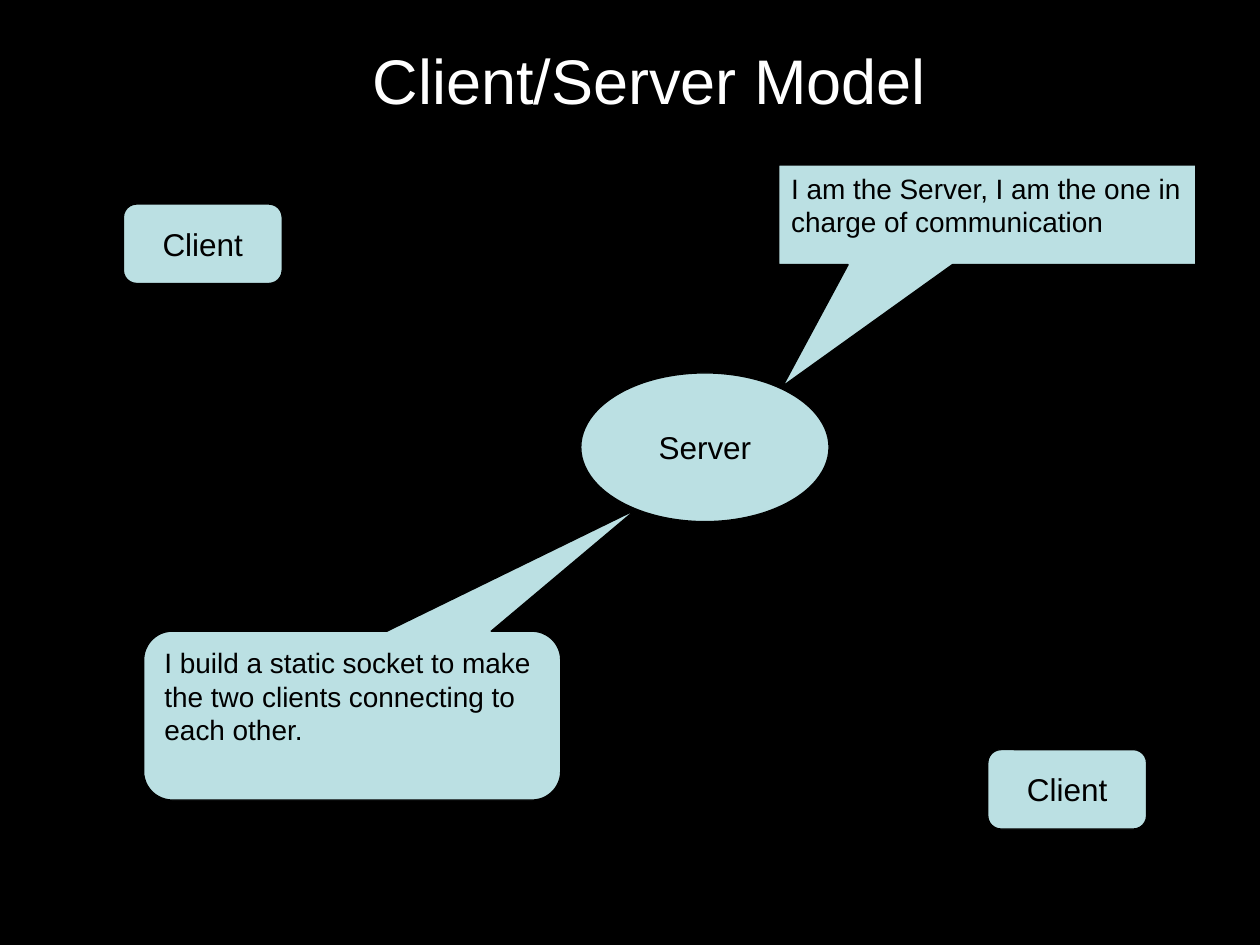
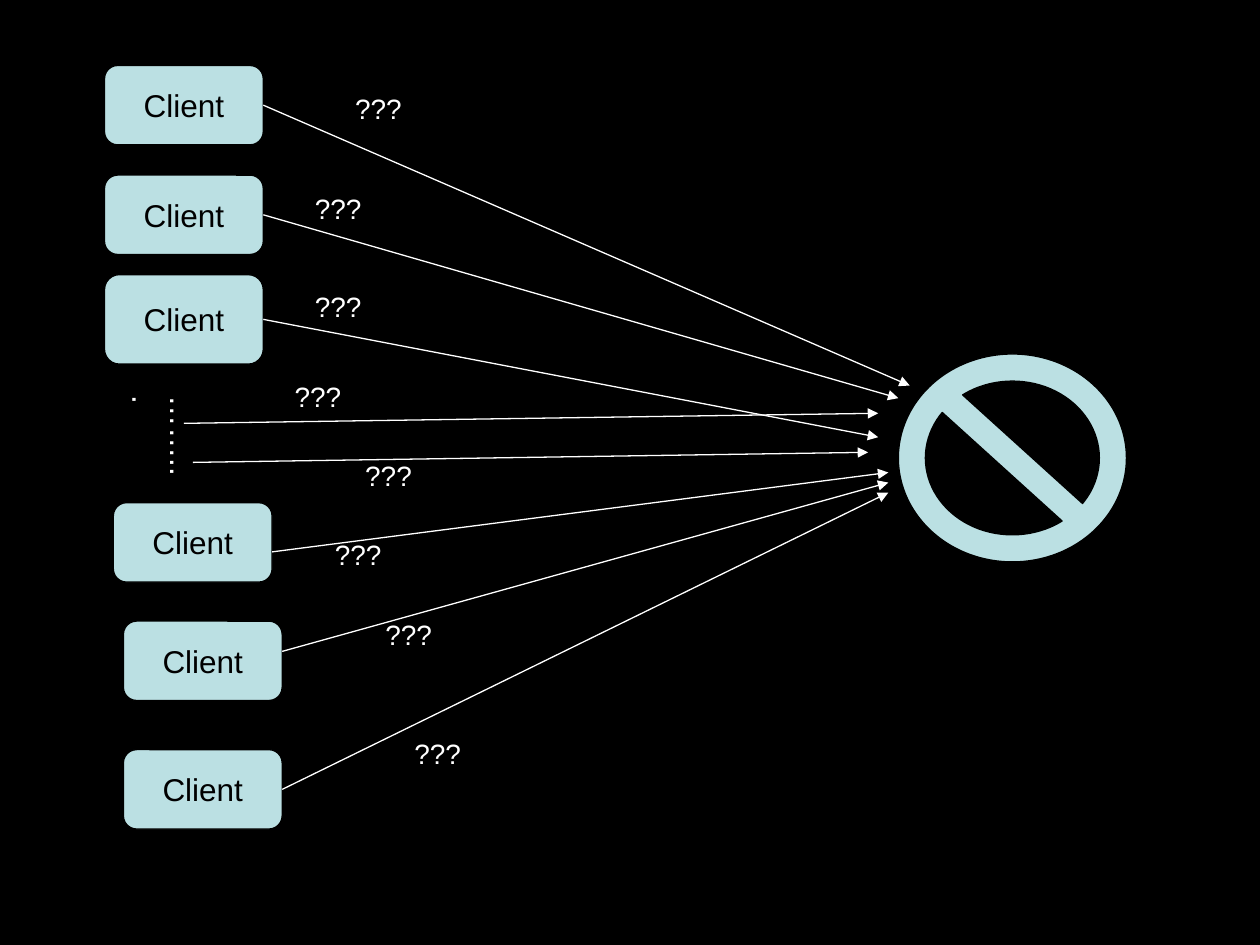
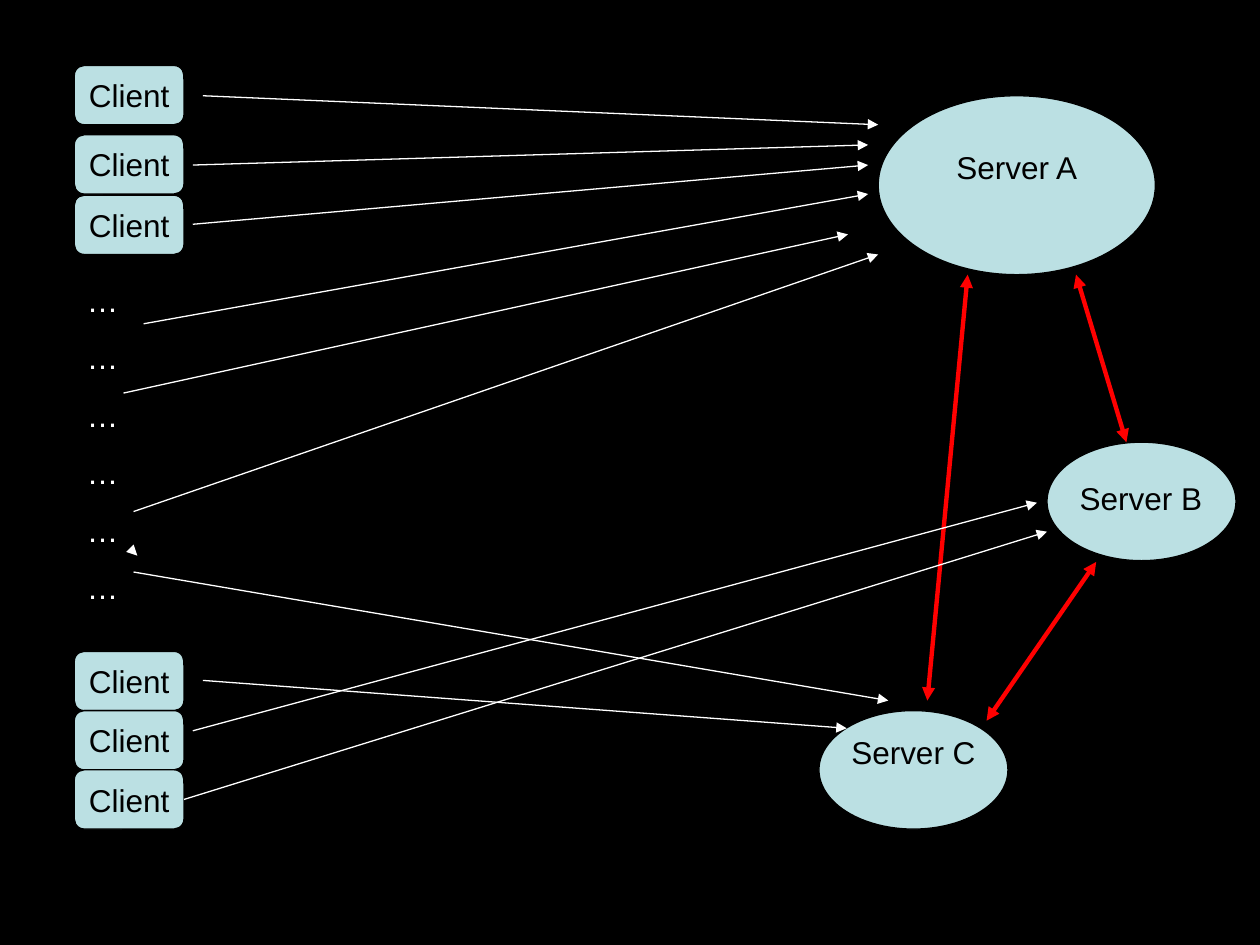
"""Build three slides on the client/server model."""
from dataclasses import dataclass

from lxml import etree
from pptx import Presentation
from pptx.dml.color import RGBColor
from pptx.enum.shapes import MSO_CONNECTOR, MSO_SHAPE
from pptx.enum.text import MSO_ANCHOR, PP_ALIGN
from pptx.oxml.ns import qn
from pptx.util import Pt

PX = 9144
OVAL, ROUND, BAN = MSO_SHAPE.OVAL, MSO_SHAPE.ROUNDED_RECTANGLE, MSO_SHAPE.NO_SYMBOL
SPEECH, BUBBLE = MSO_SHAPE.RECTANGULAR_CALLOUT, MSO_SHAPE.ROUNDED_RECTANGULAR_CALLOUT
STRAIGHT = MSO_CONNECTOR.STRAIGHT
TOP, MIDDLE = MSO_ANCHOR.TOP, MSO_ANCHOR.MIDDLE
LEFT, CENTER = PP_ALIGN.LEFT, PP_ALIGN.CENTER
RIGHT_SIDE = 3


@dataclass(frozen=True)
class Theme:
    font: str = "Arial"
    back: RGBColor = RGBColor(0, 0, 0)
    pale: RGBColor = RGBColor(0xBB, 0xE0, 0xE3)
    white: RGBColor = RGBColor(0xFF, 0xFF, 0xFF)
    red: RGBColor = RGBColor(0xFF, 0, 0)
    title: float = 36
    label: float = 18
    note: float = 16
    gap: float = 11.25
    thin: float = 0.75
    thick: float = 2.5


THEME = Theme()

TITLE = ("Client/Server Model", (286, 28, 473, 70))
HUB = ("Server", (461, 296, 197, 118))
PAIR = [(784, 595, 126, 63), (98, 162, 126, 63)]
SPEECHES = [
    (SPEECH, "I am the Server, I am the one in charge of communication",
     (618, 131, 331, 79), (-0.49, 1.72)),
    (BUBBLE, "I build a static socket to make the two clients connecting to each other.",
     (114, 501, 331, 134), (0.68, -1.22, 0.17)),
]

CROWD = [
    (83, 52, 126, 63), (83, 139, 126, 63), (83, 218, 126, 71),
    (90, 399, 126, 63), (98, 493, 126, 63), (98, 595, 126, 63),
]
DOTS = ("……...", (115, 304, 50, 87))
BLOCKED = (713, 281, 181, 165)
ASKS = [(272, 68), (240, 147), (240, 225), (224, 296),
        (280, 359), (256, 422), (296, 485), (319, 580)]
# A link starts at a client's number or at a point.
CALLS = [
    (0, (722, 306)), (1, (713, 316)), (2, (697, 347)),
    ((216, 438), (705, 375)), ((224, 517), (705, 383)), (5, (705, 391)),
    ((153, 367), (689, 359)), ((146, 336), (697, 328)),
]

STACK = [(59, top, 87, 47) for top in (52, 107, 155, 517, 564, 611)]
SERVERS = [("", (831, 351, 150, 94)), ("Server C", (650, 564, 150, 94)),
           ("Server A", (697, 76, 220, 142))]
SERVER_B = ("Server B", (847, 375, 118, 40))
MORE = ("\n".join("…" * 6), (59, 218, 102, 268))
PEERS = [((854, 218), (894, 351)), ((768, 218), (736, 556)), ((870, 446), (783, 572))]
ROUTES = [
    ((108, 440), (109, 441)),
    ((161, 76), (697, 99)), ((153, 131), (689, 115)), ((153, 178), (689, 131)),
    ((114, 257), (689, 154)), ((98, 312), (673, 186)), ((106, 406), (697, 202)),
    ((161, 540), (672, 578)), ((153, 580), (823, 399)), (5, (831, 422)),
    ((106, 454), (705, 556)),
]


def scale(box):
    return [n * PX for n in box]


def write(frame, text, size, color, align=LEFT, anchor=TOP, wrap=True):
    frame.text = text
    frame.word_wrap = wrap
    frame.vertical_anchor = anchor
    for i, para in enumerate(frame.paragraphs):
        para.alignment = align
        para.space_before = Pt(THEME.gap if i else 0)
        font = para.font
        font.name, font.size, font.color.rgb = THEME.font, Pt(size), color


def shape(slide, kind, box, adjust=()):
    item = slide.shapes.add_shape(kind, *scale(box))
    item.shadow.inherit = False
    item.fill.solid()
    item.fill.fore_color.rgb = THEME.pale
    item.line.color.rgb = THEME.back
    item.line.width = Pt(THEME.thin)
    for i, value in enumerate(adjust):
        item.adjustments[i] = value
    return item


def node(slide, kind, text, box):
    item = shape(slide, kind, box)
    if text:
        write(item.text_frame, text, THEME.label, THEME.back, CENTER, MIDDLE, False)
    return item


def clients(slide, boxes):
    return [node(slide, ROUND, "Client", box) for box in boxes]


def label(slide, text, box, size=THEME.label, color=THEME.white):
    frame = slide.shapes.add_textbox(*scale(box)).text_frame
    write(frame, text, size, color)
    return frame


def links(slide, rows, nodes=(), color=THEME.white, width=THEME.thin, ends=("tailEnd",)):
    for start, end in rows:
        joined = isinstance(start, int)
        line = slide.shapes.add_connector(
            STRAIGHT, *scale((0, 0) if joined else start), *scale(end))
        if joined:
            line.begin_connect(nodes[start], RIGHT_SIDE)
        line.line.color.rgb = color
        line.line.width = Pt(width)
        props = line.element.spPr
        for name in ends:
            etree.SubElement(props.find(qn("a:ln")), qn(f"a:{name}"), type="triangle")
        etree.SubElement(props, qn("a:effectLst"))


def model(slide):
    text, box = TITLE
    head = slide.shapes.title
    head.left, head.top, head.width, head.height = scale(box)
    write(head.text_frame, text, THEME.title, THEME.white)
    node(slide, OVAL, *HUB)
    clients(slide, PAIR)
    for kind, text, box, adjust in SPEECHES:
        item = shape(slide, kind, box, adjust)
        write(item.text_frame, text, THEME.note, THEME.back)


def overload(slide):
    nodes = clients(slide, CROWD)
    dots = label(slide, *DOTS)
    dots.margin_left = dots.margin_right = 5 * PX
    dots.margin_top = dots.margin_bottom = 10 * PX
    dots._txBody.bodyPr.set("vert", "eaVert")
    links(slide, CALLS, nodes)
    shape(slide, BAN, BLOCKED, (0.13,))
    for spot in ASKS:
        label(slide, "???", (*spot, 58, 37), THEME.note)


def cluster(slide):
    for text, box in SERVERS:
        item = node(slide, OVAL, text, box)
        item.text_frame.margin_bottom = 34 * PX
    label(slide, *SERVER_B, color=THEME.back)
    nodes = clients(slide, STACK)
    links(slide, PEERS, color=THEME.red, width=THEME.thick, ends=("headEnd", "tailEnd"))
    label(slide, *MORE)
    links(slide, ROUTES, nodes)


def main():
    deck = Presentation()
    deck.slide_width, deck.slide_height = scale((1000, 750))
    fill = deck.slide_master.background.fill
    fill.solid()
    fill.fore_color.rgb = THEME.back
    for build, layout in ((model, 5), (overload, 6), (cluster, 6)):
        build(deck.slides.add_slide(deck.slide_layouts[layout]))
    deck.save("out.pptx")


if __name__ == "__main__":
    main()
